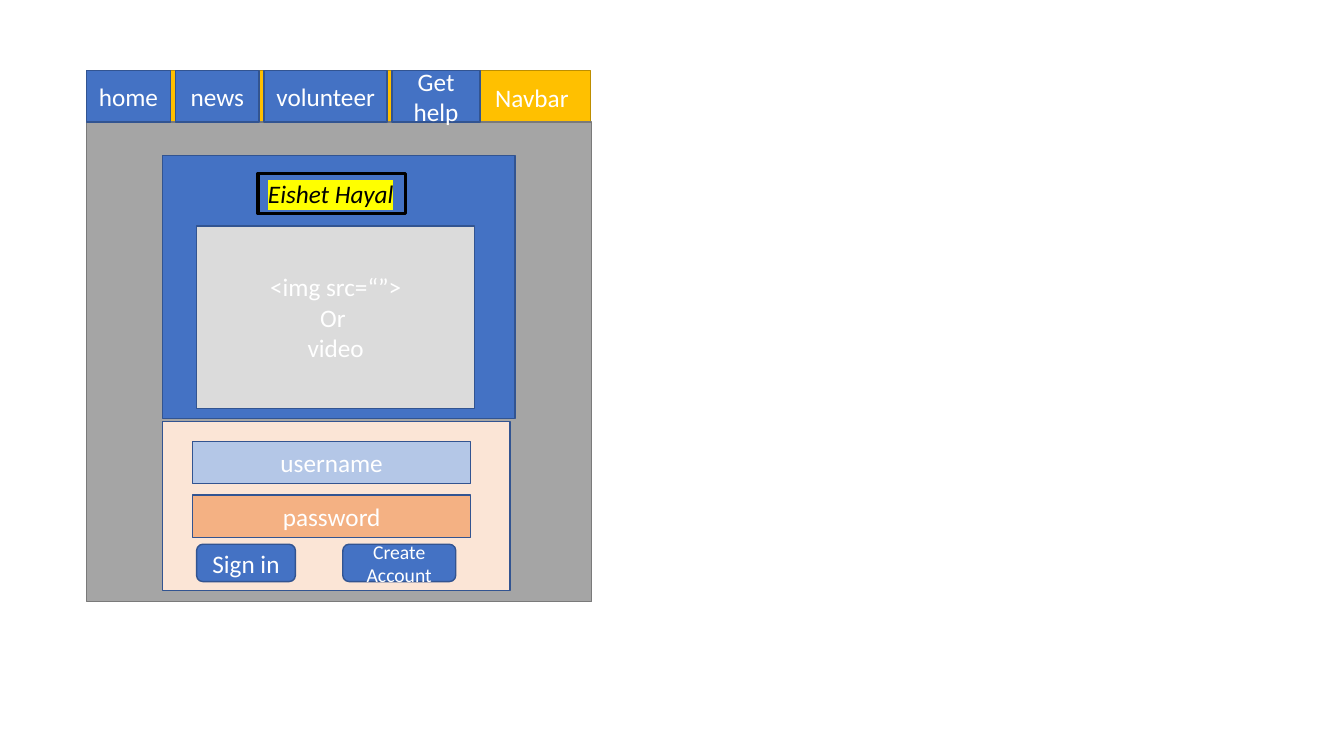
import pptx
import pptx.dml.color
import pptx.enum.shapes
import pptx.enum.text
import pptx.oxml
import pptx.oxml.ns
import pptx.util
from pptx.util import Inches, Pt

RGBColor = pptx.dml.color.RGBColor
Align = pptx.enum.text.PP_ALIGN
Shape = pptx.enum.shapes.MSO_SHAPE

WHITE = RGBColor(0xFF, 0xFF, 0xFF)
BLACK = RGBColor(0, 0, 0)
BLUE = RGBColor(0x44, 0x72, 0xC4)
NAVY = RGBColor(0x32, 0x54, 0x91)
GOLD = RGBColor(0xFF, 0xC0, 0x00)
DARK_GOLD = RGBColor(0xBD, 0x8E, 0x00)
GRAY = RGBColor(0xA5, 0xA5, 0xA5)
DARK_GRAY = RGBColor(0x7A, 0x7A, 0x7A)
SILVER = RGBColor(0xDB, 0xDB, 0xDB)
CREAM = RGBColor(0xFB, 0xE5, 0xD6)
PALE_BLUE = RGBColor(0xB4, 0xC7, 0xE7)
ORANGE = RGBColor(0xF4, 0xB1, 0x83)
HIGHLIGHT = "FFFF00"

NAV_LINKS = [("home", 0.83), ("news", 0.83), ("volunteer", 1.22), ("Get help", 0.87)]
FIELDS = [("username", PALE_BLUE), ("password", ORANGE)]
BUTTONS = [("Sign in", 1.95, 0.98, 18), ("Create Account", 3.4, 1.12, 14)]
MEDIA_LINES = ["<img src=“”>", "Or ", "video"]
SITE_NAME = "Eishet Hayal"

PAGE_LEFT, PAGE_TOP = 0.86, 0.7
NAV_GAP = 0.05
FIELD_TOP, FIELD_STEP = 4.38, 0.53


def add_box(slide, place, fill, border=NAVY, lines=(), size=18,
            kind=Shape.RECTANGLE, color=WHITE, align=Align.CENTER, weight=1):
    box = slide.shapes.add_shape(kind, *[Inches(length) for length in place])
    box.shadow.inherit = False
    if fill is None:
        box.fill.background()
    else:
        box.fill.solid()
        box.fill.fore_color.rgb = fill
    box.line.color.rgb = border
    box.line.width = Pt(weight)
    frame = box.text_frame
    frame.word_wrap = True
    frame.vertical_anchor = pptx.enum.text.MSO_ANCHOR.MIDDLE
    for index, line in enumerate(lines):
        paragraph = frame.add_paragraph() if index else frame.paragraphs[0]
        paragraph.alignment = align
        run = paragraph.add_run()
        run.text = line
        run.font.size = Pt(size)
        run.font.name = "Calibri"
        run.font.color.rgb = color
    return box


def add_site_name(slide):
    title = add_box(slide, (2.56, 1.72, 1.46, 0.4), None, BLACK, [SITE_NAME],
                    color=BLACK, align=Align.LEFT, weight=2.25)
    title.text_frame.word_wrap = False
    run = title.text_frame.paragraphs[0].runs[0]
    run.font.italic = True
    marker = pptx.oxml.parse_xml(
        '<a:highlight xmlns:a="http://schemas.openxmlformats.org/drawingml/2006/main">'
        f'<a:srgbClr val="{HIGHLIGHT}"/></a:highlight>')
    run.font._element.find(pptx.oxml.ns.qn("a:solidFill")).addnext(marker)


def main():
    deck = pptx.Presentation()
    deck.slide_width, deck.slide_height = Inches(13.33), Inches(7.5)
    slide = deck.slides.add_slide(deck.slide_layouts[6])

    navbar = add_box(slide, (PAGE_LEFT, PAGE_TOP, 5, 0.53), GOLD, DARK_GOLD,
                     ["Navbar"], align=Align.RIGHT)
    navbar.text_frame.margin_right = Inches(0.22)
    add_box(slide, (PAGE_LEFT, 1.21, 5.01, 4.76), GRAY, DARK_GRAY)
    add_box(slide, (1.61, 1.54, 3.5, 2.61), BLUE)
    add_box(slide, (1.61, 4.18, 3.45, 1.68), CREAM)

    for row, (label, fill) in enumerate(FIELDS):
        add_box(slide, (1.91, FIELD_TOP + row * FIELD_STEP, 2.76, 0.42), fill, lines=[label])

    add_site_name(slide)
    add_box(slide, (1.95, 2.24, 2.76, 1.81), SILVER, lines=MEDIA_LINES)

    link_left = PAGE_LEFT
    for label, width in NAV_LINKS:
        add_box(slide, (link_left, PAGE_TOP, width, 0.51), BLUE, lines=[label])
        link_left += width + NAV_GAP

    for label, left, width, size in BUTTONS:
        add_box(slide, (left, 5.4, width, 0.37), BLUE, lines=[label], size=size,
                kind=Shape.ROUNDED_RECTANGLE)

    deck.save("out.pptx")


if __name__ == "__main__":
    main()
